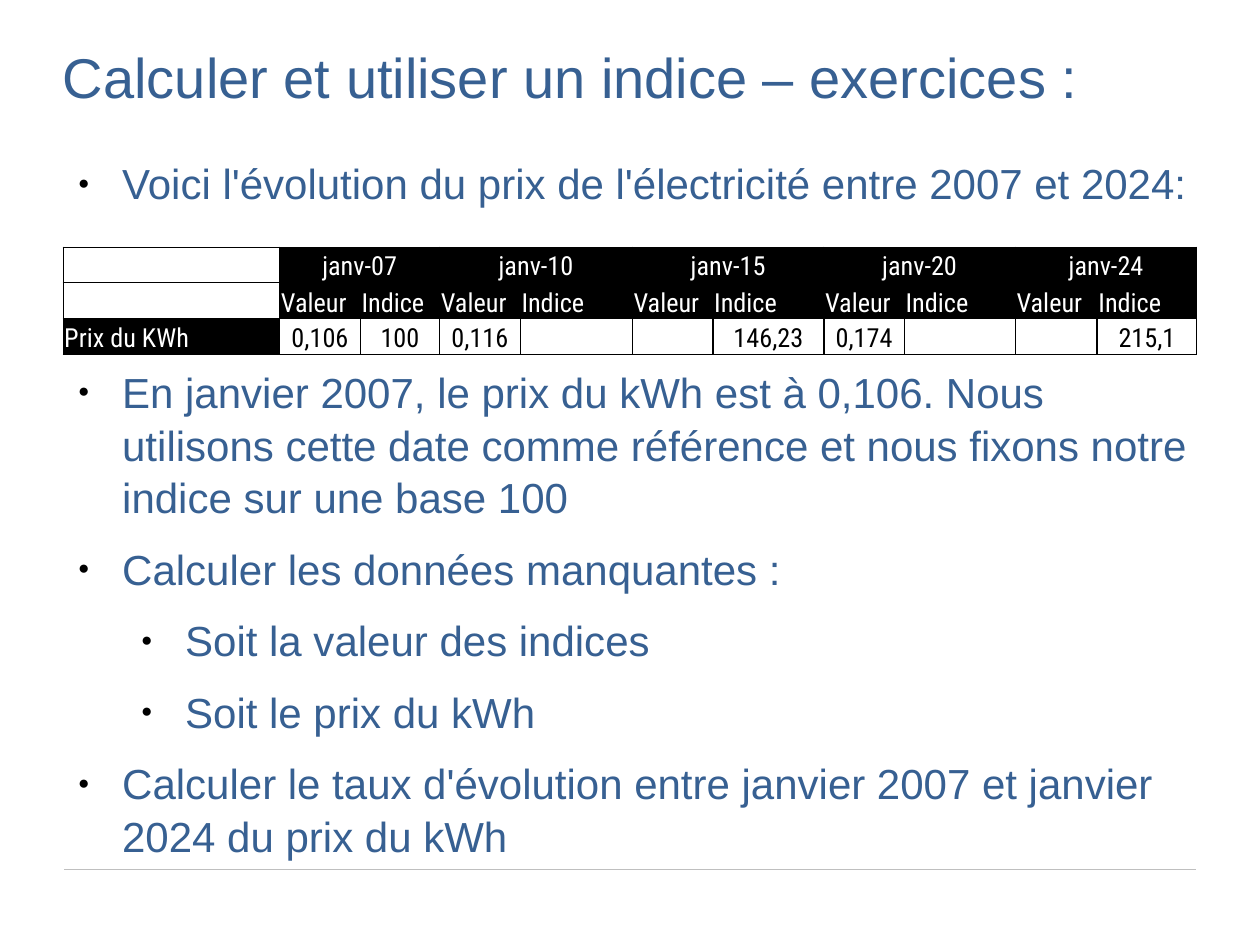
from lxml import etree
from pptx import Presentation
from pptx.dml.color import RGBColor
from pptx.enum.shapes import MSO_CONNECTOR
from pptx.enum.text import MSO_ANCHOR, PP_ALIGN
from pptx.oxml.ns import qn
from pptx.util import Inches, Pt

STRAIGHT = MSO_CONNECTOR.STRAIGHT
BOTTOM = MSO_ANCHOR.BOTTOM
LEFT, CENTER = PP_ALIGN.LEFT, PP_ALIGN.CENTER
COLORS = {"text": "376092", "rule": "BFBFBF", "black": "000000", "white": "FFFFFF"}


def add_span(para, text, size, font, color):
    span = para.add_run()
    span.text = text
    span.font.size = Pt(size)
    span.font.name = font
    span.font.color.rgb = RGBColor.from_string(COLORS[color])


def add_text_frame(page, top, height, top_inset):
    box = page.shapes.add_textbox(Inches(0.5), Inches(top), Inches(9), Inches(height))
    frame = box.text_frame
    frame.word_wrap = True
    frame.margin_left = frame.margin_right = frame.margin_bottom = 0
    frame.margin_top = Inches(top_inset)
    return frame


deck = Presentation()
deck.slide_width, deck.slide_height = Inches(10), Inches(7.5)
page = deck.slides.add_slide(deck.slide_layouts[6])

# Footer rule
rule = page.shapes.add_connector(STRAIGHT, Inches(0.51), Inches(6.9), Inches(9.49), Inches(6.9))
rule.line.color.rgb = RGBColor.from_string(COLORS["rule"])
rule.line.width = Pt(0.75)
etree.SubElement(rule._element.spPr, qn("a:effectLst"))

# Title
title = add_text_frame(page, 0.3, 1.25, 0.04)
add_span(title.paragraphs[0], "Calculer et utiliser un indice – exercices :", 32, "Arial", "text")

# Bullets: text, level, space after (the first one leaves room for the table)
bullets = [
    ("Voici l'évolution du prix de l'électricité entre 2007 et 2024:", 0, 89),
    ("En janvier 2007, le prix du kWh est à 0,106. Nous utilisons cette date comme "
     "référence et nous fixons notre indice sur une base 100", 0, 10.6),
    ("Calculer les données manquantes :", 0, 10.6),
    ("Soit la valeur des indices", 1, 10.6),
    ("Soit le prix du kWh", 1, 10.6),
    ("Calculer le taux d'évolution entre janvier 2007 et janvier 2024 du prix du kWh", 0, 10.6),
]
body = add_text_frame(page, 1.19, 5.51, 0.04)
for index, (text, level, space_after) in enumerate(bullets):
    para = body.add_paragraph() if index else body.paragraphs[0]
    para.level = level
    para.line_spacing = 1.05
    para.space_after = Pt(space_after)
    add_span(para, text, 24, "Arial", "text")
    props = para._p.get_or_add_pPr()
    props.set("marL", str(Inches(0.47 + 0.5 * level)))
    props.set("indent", str(Inches(-0.35)))
    bullet_color = etree.SubElement(props, qn("a:buClr"))
    etree.SubElement(bullet_color, qn("a:srgbClr"), val=COLORS["black"])
    etree.SubElement(props, qn("a:buSzPct"), val="45000")
    etree.SubElement(props, qn("a:buFont"), typeface="Arial")
    etree.SubElement(props, qn("a:buChar"), char="●")

# Price table: a label column, then a value and an index column for each date
dates = ["janv-07", "janv-10", "janv-15", "janv-20", "janv-24"]
prices = ["0,106", "100", "0,116", "", "", "146,23", "0,174", "", "", "215,1"]
rows = [
    [""] + [text for date in dates for text in (date, "")],
    [""] + ["Valeur", "Indice"] * len(dates),
    ["Prix du KWh"] + prices,
]
widths = [1.72, 0.64, 0.63, 0.64, 0.89, 0.64, 0.88, 0.64, 0.88, 0.65, 0.79]
heights = [0.28, 0.29, 0.28]
table = page.shapes.add_table(len(rows), len(widths), Inches(0.5), Inches(1.96),
                              Inches(9), Inches(0.85)).table
table.first_row = table.horz_banding = False
for column, width in zip(table.columns, widths):
    column.width = Inches(width)
for row, height in zip(table.rows, heights):
    row.height = Inches(height)
for col in range(1, len(widths), 2):
    table.cell(0, col).merge(table.cell(0, col + 1))

for r, texts in enumerate(rows):
    for c, text in enumerate(texts):
        cell = table.cell(r, c)
        dark = (r < 2) == (c > 0)
        cell.fill.solid()
        cell.fill.fore_color.rgb = RGBColor.from_string(COLORS["black" if dark else "white"])
        cell.vertical_anchor = BOTTOM
        cell.margin_left = cell.margin_right = cell.margin_top = Inches(0.01)
        cell.margin_bottom = 0
        para = cell.text_frame.paragraphs[0]
        para.alignment = LEFT if c == 0 or r == 1 else CENTER
        if text:
            add_span(para, text, 15, "Roboto Condensed", "white" if dark else "black")
        else:
            etree.SubElement(para._p, qn("a:endParaRPr"), sz="1500")

        # Heavier lines set off the price cells and each pair of columns
        price = r == 2 and c > 0
        line_widths = {
            "a:lnL": 1 if price and (c % 2 or c > 5) else 0.5,
            "a:lnR": 1 if price and c < 10 and (c % 2 == 0 or c >= 5) else 0.5,
            "a:lnT": 1 if price else 0.5,
            "a:lnB": 0.5,
        }
        props = cell._tc.get_or_add_tcPr()
        for place, (tag, width) in enumerate(line_widths.items()):
            border = etree.Element(qn(tag), w=str(Pt(width)))
            fill = etree.SubElement(border, qn("a:solidFill"))
            etree.SubElement(fill, qn("a:srgbClr"), val=COLORS["black"])
            props.insert(place, border)

deck.save("out.pptx")
